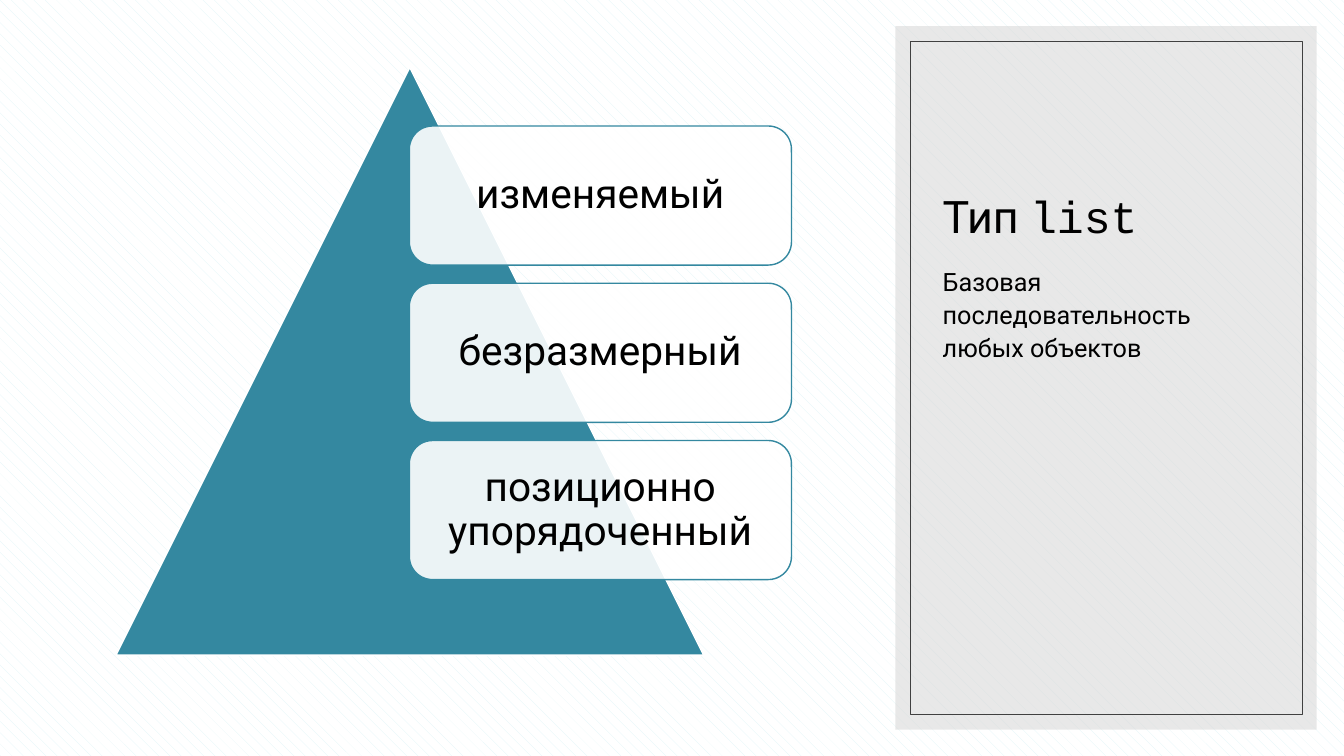
from lxml import etree
from pptx import Presentation
from pptx.dml.color import RGBColor
from pptx.enum import dml, shapes, text
from pptx.oxml.ns import qn
from pptx.util import Inches, Pt

COLORS = {"accent": "3488A0", "panel": "D9D9D9", "frame": "404040",
          "white": "FFFFFF", "text": "000000", "hatch": "DEF4F7"}
FONT, CODE_FONT = "Roboto", "Courier New"


def add_shape(parent, kind, box, fill=None, alpha=100, line=None, width=1):
    sp = parent.add_shape(kind, *[Inches(v) for v in box])
    sp.shadow.inherit = False
    if fill:
        sp.fill.solid()
        sp.fill.fore_color.rgb = RGBColor.from_string(COLORS[fill])
        if alpha < 100:
            clr = sp.element.spPr.find(qn("a:solidFill"))[0]
            etree.SubElement(clr, qn("a:alpha")).set("val", str(alpha * 1000))
    else:
        sp.fill.background()
    if line:
        sp.line.color.rgb = RGBColor.from_string(COLORS[line])
        sp.line.width = Pt(width)
    else:
        sp.line.fill.background()
    return sp


def format_run(r, size, font=FONT):
    r.font.size = Pt(size)
    r.font.name = font
    r.font.color.rgb = RGBColor.from_string(COLORS["text"])


prs = Presentation()
prs.slide_width, prs.slide_height = Inches(13.33), Inches(7.5)
s = prs.slides.add_slide(prs.slide_layouts[1])
title, body = s.shapes.title, s.placeholders[1]

# Hatched background
bg = s.background.fill
bg.patterned()
bg.pattern = dml.MSO_PATTERN.SHINGLE
bg.fore_color.rgb = RGBColor.from_string(COLORS["hatch"])
bg.back_color.rgb = RGBColor.from_string(COLORS["white"])

# Side panel and its frame, behind the title and body
rect = shapes.MSO_SHAPE.RECTANGLE
panel = add_shape(s.shapes, rect, (8.88, 0.26, 4.18, 6.98), "panel", 60)
frame = add_shape(s.shapes, rect, (9.03, 0.41, 3.89, 6.68), line="frame", width=0.5)
for sp in (panel, frame):
    title.element.addprevious(sp.element)

# Title and body placeholders
for sp, top, height, anchor in ((title, 0.66, 1.8, text.MSO_ANCHOR.BOTTOM),
                                (body, 2.56, 3.94, text.MSO_ANCHOR.TOP)):
    sp.left, sp.top = Inches(9.25), Inches(top)
    sp.width, sp.height = Inches(3.46), Inches(height)
    tf = sp.text_frame
    tf.word_wrap = True
    tf.auto_size = text.MSO_AUTO_SIZE.NONE
    tf.vertical_anchor = anchor
    tf.paragraphs[0].alignment = text.PP_ALIGN.LEFT

p = title.text_frame.paragraphs[0]
for words, font in (("Тип ", FONT), ("list", CODE_FONT)):
    r = p.add_run()
    r.text = words
    format_run(r, 32, font)

p = body.text_frame.paragraphs[0]
p.text = "Базовая последовательность любых объектов"
p.line_spacing, p.space_before = 1.1, Pt(8)
format_run(p.runs[0], 18)
pPr = p._p.get_or_add_pPr()
pPr.set("marL", "0")
pPr.set("indent", "0")
etree.SubElement(pPr, qn("a:buNone"))

# Pyramid with the list properties
pyramid = s.shapes.add_group_shape().shapes
add_shape(pyramid, shapes.MSO_SHAPE.ISOSCELES_TRIANGLE,
          (1.15, 0.67, 5.83, 5.83), "accent", line="white")
for i, label in enumerate(("изменяемый", "безразмерный", "позиционно упорядоченный")):
    sp = add_shape(pyramid, shapes.MSO_SHAPE.ROUNDED_RECTANGLE,
                   (4.06, 1.25 + i * 1.56, 3.79, 1.38), "white", 90, "accent")
    tf = sp.text_frame
    tf.word_wrap = True
    tf.vertical_anchor = text.MSO_ANCHOR.MIDDLE
    tf.margin_left = tf.margin_right = tf.margin_top = tf.margin_bottom = Inches(0.12)
    p = tf.paragraphs[0]
    p.text = label
    p.alignment = text.PP_ALIGN.CENTER
    p.line_spacing = 0.9
    format_run(p.runs[0], 29)

prs.save("out.pptx")
